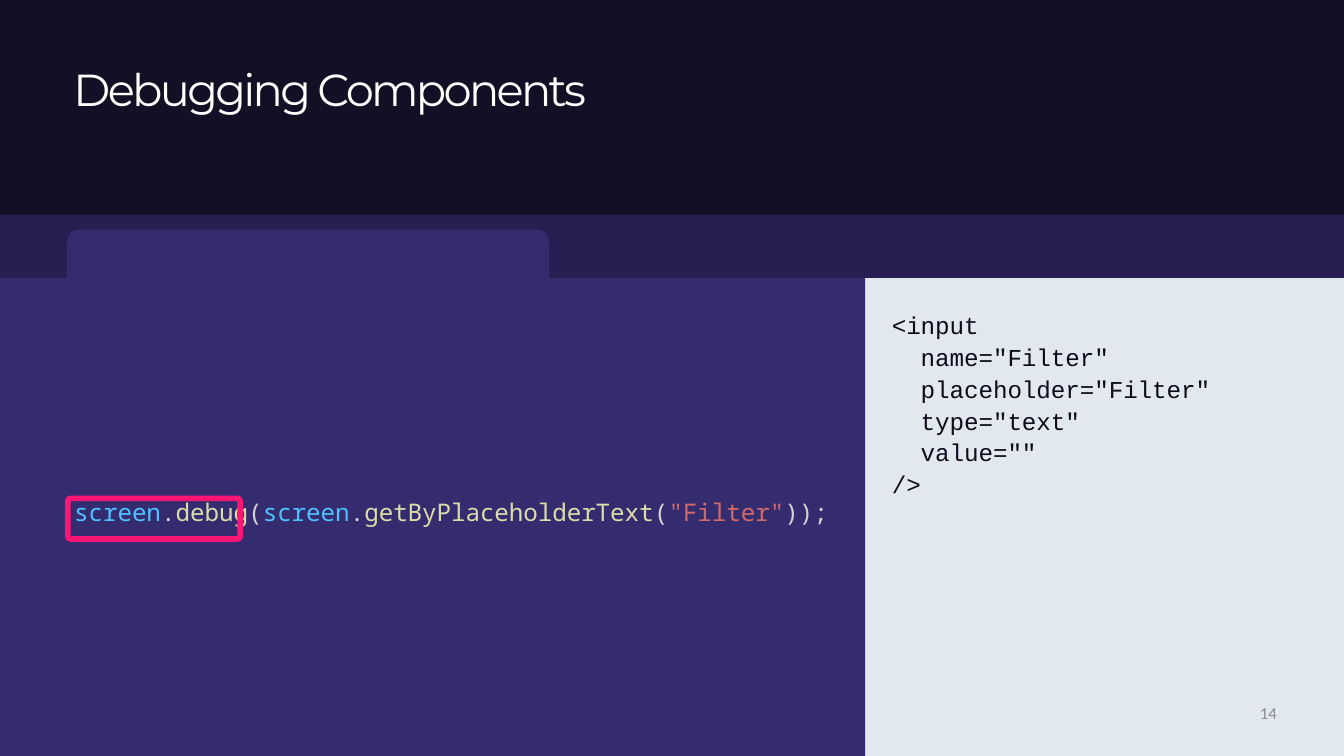
import math

from lxml import etree
from pptx import Presentation
from pptx.dml.color import RGBColor
from pptx.enum import shapes, text
from pptx.oxml.ns import qn
from pptx.util import Pt

PX = 9525  # EMU per px, 96 px to the inch
WIDTH, HEIGHT = 1920, 1080

NIGHT = RGBColor(0x13, 0x0F, 0x24)
VIOLET = RGBColor(0x35, 0x2B, 0x6F)
MIST = RGBColor(0xE2, 0xE8, 0xF0)
PINK = RGBColor(0xFF, 0x16, 0x75)
WHITE = RGBColor(0xFF, 0xFF, 0xFF)
INK = RGBColor(0x0E, 0x0B, 0x1B)
GREY = RGBColor(0x8C, 0x8C, 0x8C)
OBJECT = RGBColor(0x4F, 0xC1, 0xFF)
METHOD = RGBColor(0xDC, 0xDC, 0xAA)
STRING = RGBColor(0xD1, 0x69, 0x69)
PLAIN = RGBColor(0xD4, 0xD4, 0xD4)

# Content: each line is a list of (text, colour) pieces
TITLE = [[("Debugging ", WHITE), ("Components", WHITE)]]
MARKUP = [
    [(line, INK)]
    for line in (
        "<input",
        '  name="Filter"',
        '  placeholder="Filter"',
        '  type="text"',
        '  value=""',
        "/>",
    )
]
CALL = [[
    ("screen", OBJECT), (".", PLAIN), ("debug", METHOD), ("(", PLAIN),
    ("screen", OBJECT), (".", PLAIN), ("getByPlaceholderText", METHOD),
    ("(", PLAIN), ('"Filter"', STRING), ("));", PLAIN),
]]
PAGE = [[("14", GREY)]]

# Layout
HEADER_BOTTOM = 397
BAND_TOP = 307
SPLIT = 1236
TAB_LEFT, TAB_RIGHT, TAB_TOP, TAB_RADIUS = 96, 784, 328, 18

prs = Presentation()
prs.slide_width, prs.slide_height = WIDTH * PX, HEIGHT * PX
slide = prs.slides.add_slide(prs.slide_layouts[5])


def place(shape, box):
    shape.left, shape.top, shape.width, shape.height = (n * PX for n in box)


def paint(shape, color):
    shape.shadow.inherit = False
    shape.fill.solid()
    shape.fill.fore_color.rgb = color
    shape.line.fill.background()


def add_panel(box, color, opacity=100):
    panel = slide.shapes.add_shape(
        shapes.MSO_SHAPE.RECTANGLE, *(n * PX for n in box))
    paint(panel, color)
    if opacity < 100:
        tint = panel.fill._xPr.find(qn("a:solidFill"))[0]
        etree.SubElement(tint, qn("a:alpha")).set("val", str(opacity * 1000))


def write(lines, box, font, size, shape=None, align=text.PP_ALIGN.LEFT,
          spacing=0, pitch=None, wrap=True):
    shape = shape or slide.shapes.add_textbox(0, 0, 0, 0)
    place(shape, box)
    frame = shape.text_frame
    frame.word_wrap = wrap
    frame.auto_size = text.MSO_AUTO_SIZE.NONE
    frame.vertical_anchor = text.MSO_ANCHOR.TOP
    frame.margin_left = frame.margin_right = 0
    frame.margin_top = frame.margin_bottom = 0
    for i, pieces in enumerate(lines):
        para = frame.add_paragraph() if i else frame.paragraphs[0]
        para.alignment = align
        if pitch:
            para.line_spacing = Pt(pitch)
        for words, color in pieces:
            run = para.add_run()
            run.text = words
            run.font.name, run.font.size = font, Pt(size)
            run.font.color.rgb = color
            if spacing:
                run._r.get_or_add_rPr().set("spc", str(round(spacing * 100)))


def corner(center_x, start):
    """Points of a quarter turn at the top of the tab, angles in degrees."""
    return [
        (center_x + TAB_RADIUS * math.cos(math.radians(a)),
         TAB_TOP + TAB_RADIUS - TAB_RADIUS * math.sin(math.radians(a)))
        for a in range(start, start + 91, 15)
    ]


# Background panels
add_panel((SPLIT, HEADER_BOTTOM, WIDTH - SPLIT, HEIGHT - HEADER_BOTTOM), MIST)
add_panel((0, 0, WIDTH, HEADER_BOTTOM), NIGHT)
add_panel((0, BAND_TOP, WIDTH, HEADER_BOTTOM - BAND_TOP), VIOLET, opacity=60)

# Code panel with its tab
outline = slide.shapes.build_freeform(SPLIT, HEADER_BOTTOM, scale=PX)
outline.add_line_segments(
    [(TAB_RIGHT, HEADER_BOTTOM)]
    + corner(TAB_RIGHT - TAB_RADIUS, 0)
    + corner(TAB_LEFT + TAB_RADIUS, 90)
    + [(TAB_LEFT, HEADER_BOTTOM), (0, HEADER_BOTTOM),
       (0, HEIGHT), (SPLIT, HEIGHT)],
    close=True,
)
paint(outline.convert_to_shape(), VIOLET)

# Title, moved in front of the panels
title = slide.shapes.title
slide.shapes._spTree.append(title._element)
write(TITLE, (105, 88, 1030, 80), "Montserrat", 48, shape=title, spacing=-2.9)

# Code
write(MARKUP, (1274, 440, 600, 280), "Courier New", 26, spacing=-0.1, pitch=34)
write(CALL, (106, 711, 1100, 48), "Noto Sans Mono", 26, spacing=-0.1,
      wrap=False)

# Highlight around the debug call
highlight = slide.shapes.add_shape(
    shapes.MSO_SHAPE.ROUNDED_RECTANGLE, 0, 0, 0, 0)
place(highlight, (97, 712, 246, 58))
highlight.adjustments[0] = 0.07
highlight.shadow.inherit = False
highlight.fill.background()
highlight.line.color.rgb = PINK
highlight.line.width = Pt(6)

# Page number
write(PAGE, (1382, 1004, 442, 54), "Calibri", 18, align=text.PP_ALIGN.RIGHT)

prs.save("out.pptx")
